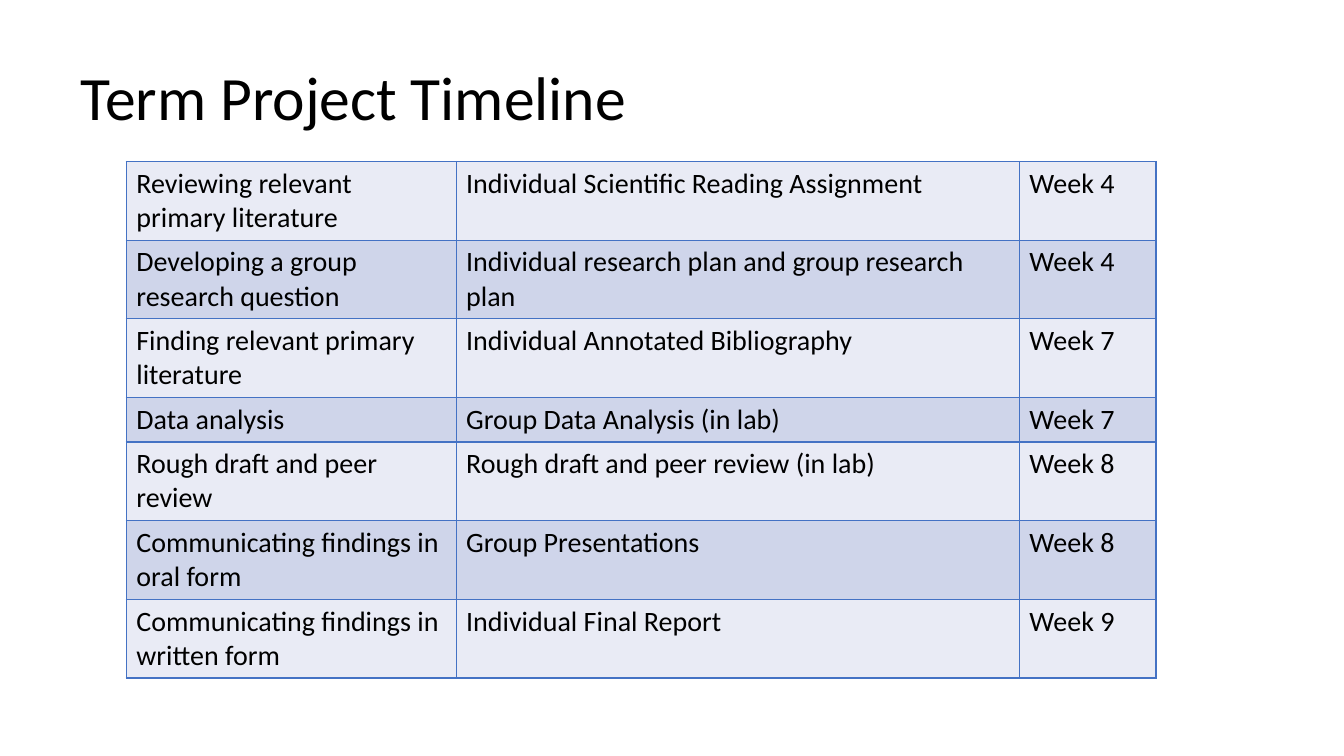
from dataclasses import dataclass

from lxml.etree import SubElement
from pptx import Presentation
from pptx.dml.color import RGBColor as RGB
from pptx.enum.text import MSO_ANCHOR as Anchor, MSO_AUTO_SIZE as AutoSize, PP_ALIGN as Align
from pptx.oxml.ns import qn
from pptx.util import Pt


@dataclass(frozen=True)
class Theme:
    font: str = "Calibri"
    title_size: int = 44
    cell_size: int = 20
    text: str = "000000"
    border: str = "4472C4"
    bands: tuple = ("E9EBF5", "CFD5EA")


theme = Theme()


def style_font(font, size):
    font.name = theme.font
    font.size = Pt(size)
    font.color.rgb = RGB.from_string(theme.text)


def add_borders(cell, width):
    tc_pr = cell._tc.get_or_add_tcPr()
    for side in ("lnL", "lnR", "lnT", "lnB"):
        ln = SubElement(tc_pr, qn(f"a:{side}"), w=str(int(Pt(width))))
        fill = SubElement(ln, qn("a:solidFill"))
        SubElement(fill, qn("a:srgbClr"), val=theme.border)


prs = Presentation()
prs.slide_width, prs.slide_height = Pt(960), Pt(540)
s = prs.slides.add_slide(prs.slide_layouts[5])

# Title
title = s.shapes.title
title.left, title.top, title.width, title.height = Pt(50.4), Pt(27.4), Pt(848), Pt(88.5)
tf = title.text_frame
tf.text = "Term Project Timeline"
tf.auto_size = AutoSize.NONE
tf.vertical_anchor = Anchor.MIDDLE
p = tf.paragraphs[0]
p.alignment = Align.LEFT
p.line_spacing = 0.9
style_font(p.runs[0].font, theme.title_size)

# Timeline: task, assignment, week due
timeline = [
    ("Reviewing relevant primary literature", "Individual Scientific Reading Assignment", "Week 4"),
    ("Developing a group research question", "Individual research plan and group research plan", "Week 4"),
    ("Finding relevant primary literature", "Individual Annotated Bibliography", "Week 7"),
    ("Data analysis", "Group Data Analysis (in lab)", "Week 7"),
    ("Rough draft and peer review", "Rough draft and peer review (in lab)", "Week 8"),
    ("Communicating findings in oral form", "Group Presentations", "Week 8"),
    ("Communicating findings in written form", "Individual Final Report", "Week 9"),
]
col_widths = (235.6, 402.4, 97.6)
one_line, two_lines = 31.7, 56.2
row_heights = [one_line if task == "Data analysis" else two_lines for task, _, _ in timeline]

# Table
table = s.shapes.add_table(len(timeline), len(col_widths), Pt(90.2), Pt(115.3),
                           Pt(sum(col_widths)), Pt(sum(row_heights))).table
table.first_row = False
table.horz_banding = False
for col, width in zip(table.columns, col_widths):
    col.width = Pt(width)

for i, (row, texts) in enumerate(zip(table.rows, timeline)):
    row.height = Pt(row_heights[i])
    for cell, text in zip(row.cells, texts):
        add_borders(cell, 0.96)
        cell.fill.solid()
        cell.fill.fore_color.rgb = RGB.from_string(theme.bands[i % 2])
        cell.text_frame.text = text
        style_font(cell.text_frame.paragraphs[0].runs[0].font, theme.cell_size)

prs.save("out.pptx")
